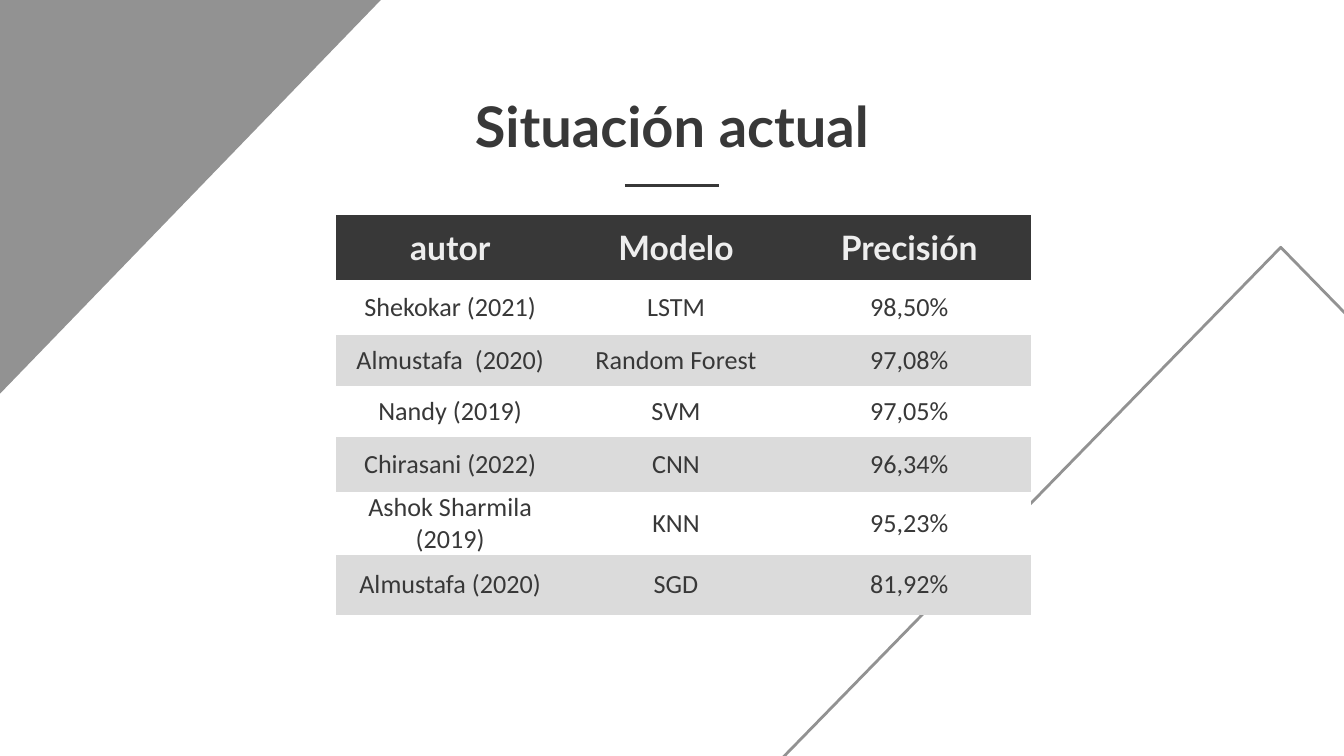
from lxml.etree import SubElement
from pptx import Presentation
from pptx.dml.color import RGBColor
from pptx.enum.shapes import MSO_CONNECTOR, MSO_SHAPE
from pptx.enum.text import MSO_ANCHOR, MSO_AUTO_SIZE, PP_ALIGN
from pptx.oxml.ns import qn
from pptx.util import Inches, Pt

DARK, GRAY, BAND, WHITE, LIGHT = "383838", "929292", "DBDBDB", "FFFFFF", "EEEEEE"

TITLE_FONT = {"name": "Lato", "size": Pt(30), "bold": True}
HEADER_FONT = {"name": "Lato", "size": Pt(18), "bold": True}
BODY_FONT = {"name": "Calibri", "size": Pt(14), "bold": False}

ROWS = [
    ("autor", "Modelo", "Precisión"),
    ("Shekokar (2021)", "LSTM", "98,50%"),
    ("Almustafa  (2020)", "Random Forest", "97,08%"),
    ("Nandy (2019)", "SVM", "97,05%"),
    ("Chirasani (2022)", "CNN", "96,34%"),
    ("Ashok Sharmila (2019)", "KNN", "95,23%"),
    ("Almustafa (2020)", "SGD", "81,92%"),
]
COLUMN_WIDTHS = (1.7, 1.66, 1.81)
ROW_HEIGHTS = (0.48, 0.41, 0.38, 0.38, 0.41, 0.41, 0.44)


def color(hex_string):
    return RGBColor.from_string(hex_string)


def set_attributes(target, values):
    for name, value in values.items():
        setattr(target, name, value)


def paint(fill, hex_string):
    fill.solid()
    fill.fore_color.rgb = color(hex_string)


def draw_line(line, hex_string):
    paint(line.fill, hex_string)
    line.width = Pt(1.5)


def write_centered(text_frame, text, font_values, hex_string):
    text_frame.text = text
    paragraph = text_frame.paragraphs[0]
    paragraph.alignment = PP_ALIGN.CENTER
    font = paragraph.runs[0].font
    set_attributes(font, font_values)
    font.color.rgb = color(hex_string)


def add_corner(slide, left, top, width, height):
    """Gray right triangle whose square corner points to the top left."""
    corner = slide.shapes.add_shape(
        MSO_SHAPE.RIGHT_TRIANGLE, *map(Inches, (left, top, width, height)))
    corner.shadow.inherit = False
    corner.rotation = 180
    corner._element.spPr.find(qn("a:xfrm")).set("flipH", "1")
    paint(corner.fill, GRAY)
    corner.line.fill.background()


def add_peak(slide, left, top, width, height):
    peak = slide.shapes.add_shape(
        MSO_SHAPE.ISOSCELES_TRIANGLE, *map(Inches, (left, top, width, height)))
    peak.shadow.inherit = False
    peak.fill.background()
    draw_line(peak.line, GRAY)


def add_heading(slide, left, top, width, height):
    """Title with a short rule centred below it."""
    title = slide.shapes.title
    set_attributes(title, {"left": Inches(left), "top": Inches(top),
                           "width": Inches(width), "height": Inches(height)})
    set_attributes(title.text_frame, {
        "word_wrap": True, "auto_size": MSO_AUTO_SIZE.NONE,
        "vertical_anchor": MSO_ANCHOR.TOP,
        **{f"margin_{side}": Inches(0.1)
           for side in ("left", "top", "right", "bottom")}})
    write_centered(title.text_frame, "Situación actual", TITLE_FONT, DARK)

    center, rule_width, rule_top = left + width / 2, 0.7, top + 0.8
    rule = slide.shapes.add_connector(
        MSO_CONNECTOR.STRAIGHT,
        Inches(center - rule_width / 2), Inches(rule_top),
        Inches(center + rule_width / 2), Inches(rule_top))
    draw_line(rule.line, DARK)
    SubElement(rule._element.spPr, qn("a:effectLst"))


def add_results_table(slide, left, top):
    frame = slide.shapes.add_table(
        len(ROWS), len(COLUMN_WIDTHS), Inches(left), Inches(top),
        Inches(sum(COLUMN_WIDTHS)), Inches(sum(ROW_HEIGHTS)))
    table = frame.table
    set_attributes(table, {"first_row": False, "horz_banding": False})
    # Table style without borders or fills
    style = table._tbl.tblPr.find(qn("a:tableStyleId"))
    style.text = "{2D5ABB26-0587-4C30-8999-92F81FD0307C}"
    for column, width in zip(table.columns, COLUMN_WIDTHS):
        column.width = Inches(width)
    for index, (row, height, texts) in enumerate(
            zip(table.rows, ROW_HEIGHTS, ROWS)):
        row.height = Inches(height)
        if index == 0:
            font_values, text_color, fill_color = HEADER_FONT, LIGHT, DARK
        else:
            font_values, text_color = BODY_FONT, DARK
            fill_color = WHITE if index % 2 else BAND
        for cell, text in zip(row.cells, texts):
            set_attributes(cell, {
                "margin_left": Inches(0.1), "margin_right": Inches(0.1),
                "margin_top": 0, "margin_bottom": 0,
                "vertical_anchor": MSO_ANCHOR.MIDDLE})
            paint(cell.fill, fill_color)
            write_centered(cell.text_frame, text, font_values, text_color)


def main():
    presentation = Presentation()
    presentation.slide_width = Inches(10)
    presentation.slide_height = Inches(10) * 9 // 16
    slide = presentation.slides.add_slide(presentation.slide_layouts[5])
    paint(slide.background.fill, WHITE)
    add_corner(slide, -0.31, -0.12, 3.26, 3.37)
    add_peak(slide, 5.48, 1.84, 8.1, 4.15)
    add_heading(slide, 0.98, 0.58, 8.04, 0.58)
    add_results_table(slide, 2.5, 1.6)
    presentation.save("out.pptx")


if __name__ == "__main__":
    main()
